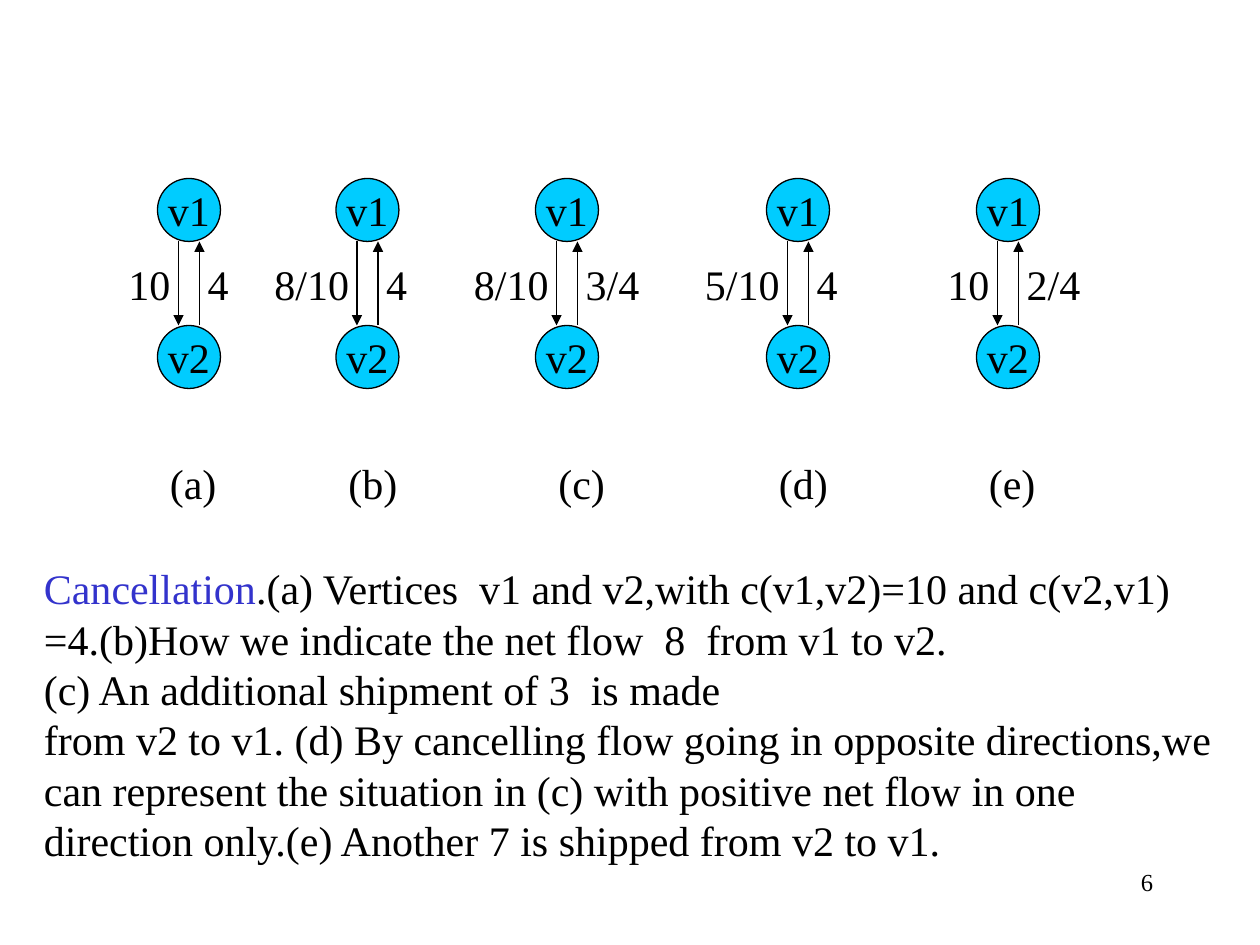
from lxml import etree
from pptx import Presentation
from pptx.dml.color import RGBColor
from pptx.enum.shapes import MSO_CONNECTOR as Conn, MSO_SHAPE as Shape
from pptx.enum.text import MSO_ANCHOR as Anchor, MSO_AUTO_SIZE as Fit, PP_ALIGN as Align
from pptx.oxml.ns import qn
from pptx.util import Inches, Pt

# The slide is a grid of 120 columns by 90 rows, twelve to the inch.
COLS, ROWS, PER_INCH = 120, 90, 12
NODE, V1_ROW, V2_ROW = 6, 17, 31
LABEL_ROW, CAPTION_ROW, CAPTION_WIDTH = 24, 43, 7.3
BLACK, BLUE, CYAN = "000000", "3333CC", "00CCFF"

# node column, flow down, flow up, caption, caption column
NETWORKS = [
    (15, "10", "4", "(a)", 15),
    (32, "8/10", "4", "(b)", 32),
    (51, "8/10", "3/4", "(c)", 52),
    (73, "5/10", "4", "(d)", 73),
    (93, "10", "2/4", "(e)", 93),
]

EXPLANATION = [
    [("Cancellation", BLUE),
     (".(a) Vertices  v1 and v2,with c(v1,v2)=10 and c(v2,v1)", BLACK)],
    [("=4.(b)How we indicate the net flow  8  from v1 to v2.", BLACK)],
    [("(c) An additional shipment of 3  is made", BLACK)],
    [("from v2 to v1. (d) By cancelling flow going in opposite directions,we", BLACK)],
    [("can represent the situation in (c) with positive net flow in one", BLACK)],
    [("direction only.(e) Another 7 is shipped from v2 to v1.", BLACK)],
]


def grid(*units):
    return [Inches(u / PER_INCH) for u in units]


def rgb(value):
    return RGBColor.from_string(value)


def write(tf, lines, size=24, align=Align.LEFT, **frame):
    """Fill a text frame with lines, each a list of (text, colour) runs."""
    for name, value in {"word_wrap": False, **frame}.items():
        setattr(tf, name, value)
    for i, line in enumerate(lines):
        p = tf.paragraphs[0] if i == 0 else tf.add_paragraph()
        p.alignment = align
        for text, colour in line:
            r = p.add_run()
            r.text = text
            for name, value in {"name": "Times New Roman", "size": Pt(size)}.items():
                setattr(r.font, name, value)
            r.font.color.rgb = rgb(colour)


def add_text(s, box, lines, **style):
    tb = s.shapes.add_textbox(*grid(*box))
    write(tb.text_frame, lines, **style)


def add_node(s, col, row, name):
    sp = s.shapes.add_shape(Shape.OVAL, *grid(col, row, NODE, NODE))
    sp.shadow.inherit = False
    sp.fill.solid()
    sp.fill.fore_color.rgb = rgb(CYAN)
    sp.line.color.rgb = rgb(BLACK)
    sp.line.width = Pt(0.75)
    write(sp.text_frame, [[(name, BLACK)]], align=Align.CENTER,
          vertical_anchor=Anchor.MIDDLE)


def add_arrow(s, col, start, end):
    c = s.shapes.add_connector(Conn.STRAIGHT, *grid(col, start, col, end))
    c.line.color.rgb = rgb(BLACK)
    c.line.width = Pt(0.75)
    etree.SubElement(c.get_or_add_ln(), qn("a:tailEnd"), type="triangle")
    etree.SubElement(c._element.spPr, qn("a:effectLst"))


def label_width(text):
    """Width in columns: margins, two per digit and about one per slash."""
    slashes = text.count("/")
    return 2.4 + 2 * (len(text) - slashes) + 1.1 * slashes


def add_network(s, col, down, up, caption, caption_col):
    add_node(s, col, V1_ROW, "v1")
    add_node(s, col, V2_ROW, "v2")
    add_arrow(s, col + NODE / 3, V1_ROW + NODE, V2_ROW)
    add_arrow(s, col + NODE * 2 / 3, V2_ROW, V1_ROW + NODE)
    labels = [
        (down, col + 2.45 - label_width(down), LABEL_ROW, label_width(down)),
        (up, col + 3.6, LABEL_ROW, label_width(up)),
        (caption, caption_col, CAPTION_ROW, CAPTION_WIDTH),
    ]
    for text, left, top, width in labels:
        add_text(s, (left, top, width, NODE), [[(text, BLACK)]],
                 auto_size=Fit.SHAPE_TO_FIT_TEXT)


def main():
    prs = Presentation()
    prs.slide_width, prs.slide_height = grid(COLS, ROWS)
    s = prs.slides.add_slide(prs.slide_layouts[6])
    add_text(s, (86, 82, 25, 6), [[("6", BLACK)]], size=14, align=Align.RIGHT,
             word_wrap=True)
    for network in NETWORKS:
        add_network(s, *network)
    add_text(s, (3, 53, 114.6, 30), EXPLANATION, auto_size=Fit.SHAPE_TO_FIT_TEXT)
    prs.save("out.pptx")


if __name__ == "__main__":
    main()
